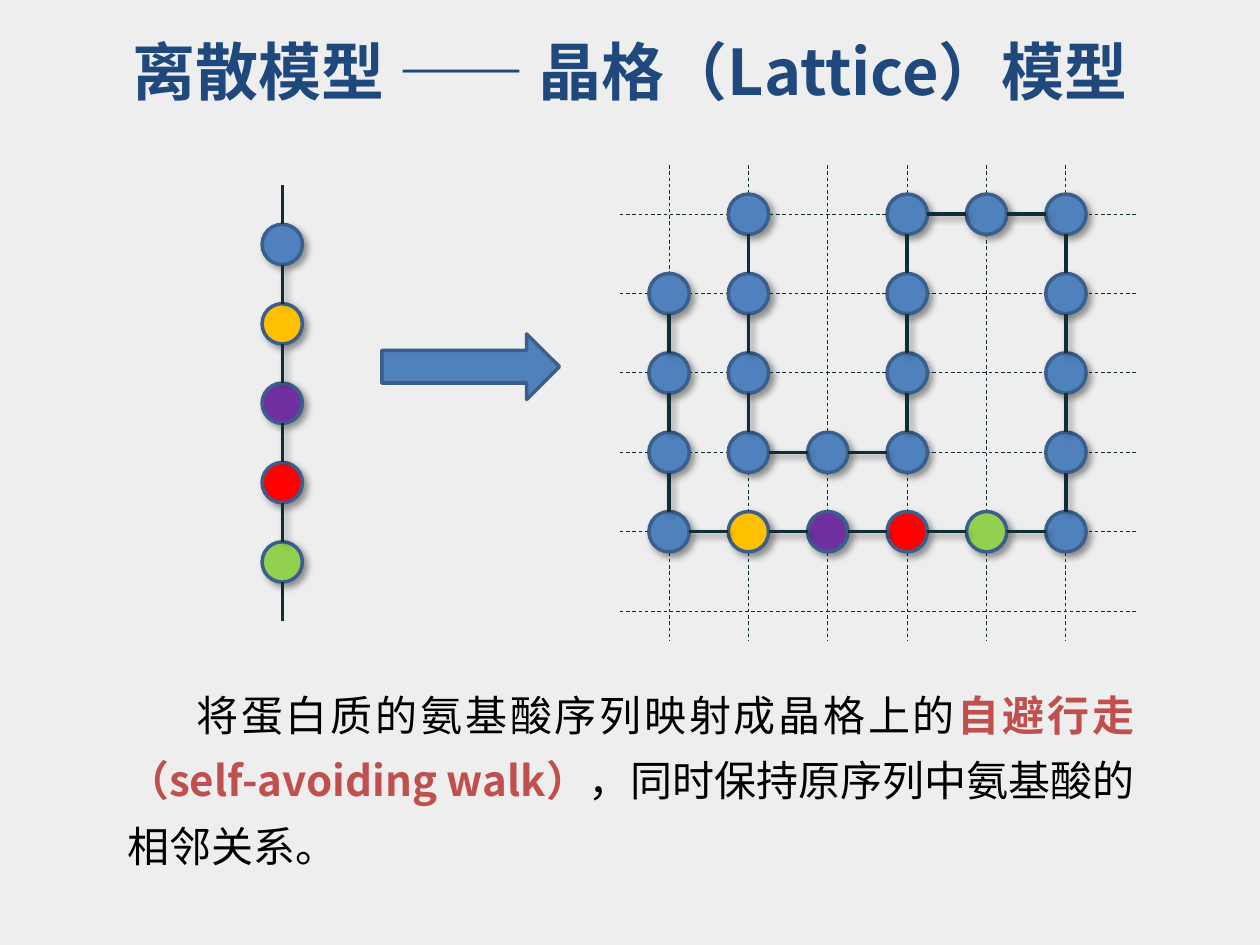
"""Build a slide mapping an amino acid chain onto a self-avoiding lattice walk."""
from lxml import etree
from pptx import Presentation
from pptx import util as u
from pptx.dml.color import RGBColor
from pptx.enum import dml, shapes, text
from pptx.oxml import ns

TITLE = "离散模型 —— 晶格（Lattice）模型"
BODY = [
    ("将蛋白质的氨基酸序列映射成晶格上的", "ink", False),
    ("自避行走（self-avoiding walk）", "accent", True),
    ("，同时保持原序列中氨基酸的相邻关系。", "ink", False),
]
CHAIN = ["blue", "yellow", "purple", "red", "green"]
WALK_CORNERS = [(0, 1), (0, 4), (5, 4), (5, 0), (3, 0), (3, 3), (1, 3), (1, 0)]
WALK_COLORS = {(1, 4): "yellow", (2, 4): "purple", (3, 4): "red", (4, 4): "green"}
THEME = {
    "font": "Noto Sans CJK SC", "title_size": 36, "body_size": 24,
    "background": "EEEEEE", "title": "1F497D", "ink": "000000", "accent": "C0504D",
    "blue": "4F81BD", "yellow": "FFC000", "purple": "7030A0", "red": "FF0000",
    "green": "92D050", "outline": "3A5F8C", "bond": "102C34",
}
STEP, RADIUS, GRID_COUNT = 0.63, 0.16, 6
GRID_LEFT, GRID_TOP = 5.31, 1.7
CHAIN_X, CHAIN_TOP = 2.24, 1.94


def color(name):
    return RGBColor.from_string(THEME[name])


def add_shadow(shape):
    properties = shape._element.spPr
    effects = properties.find(ns.qn("a:effectLst"))
    if effects is None:
        effects = etree.SubElement(properties, ns.qn("a:effectLst"))
    shadow = etree.SubElement(
        effects, ns.qn("a:outerShdw"), blurRad=str(u.Pt(4)), dist=str(u.Pt(3)),
        dir="2700000", algn="tl", rotWithShape="0")
    tone = etree.SubElement(shadow, ns.qn("a:srgbClr"), val=THEME["ink"])
    etree.SubElement(tone, ns.qn("a:alpha"), val="40000")


def add_line(slide, start, end, width, dashed=False, shadow=False):
    line = slide.shapes.add_connector(
        shapes.MSO_CONNECTOR.STRAIGHT, *(u.Inches(v) for v in (*start, *end)))
    line.line.color.rgb = color("bond")
    line.line.width = u.Pt(width)
    if dashed:
        line.line.dash_style = dml.MSO_LINE.DASH
    etree.SubElement(line._element.spPr, ns.qn("a:effectLst"))
    if shadow:
        add_shadow(line)


def add_filled(slide, kind, box, fill):
    shape = slide.shapes.add_shape(kind, *(u.Inches(v) for v in box))
    shape.shadow.inherit = False
    shape.fill.solid()
    shape.fill.fore_color.rgb = color(fill)
    shape.line.color.rgb = color("outline")
    shape.line.width = u.Pt(2)
    return shape


def add_residue(slide, x, y, fill):
    box = (x - RADIUS, y - RADIUS, 2 * RADIUS, 2 * RADIUS)
    add_shadow(add_filled(slide, shapes.MSO_SHAPE.OVAL, box, fill))


def add_paragraph_box(slide, box, runs, size, alignment):
    frame = slide.shapes.add_textbox(*(u.Inches(v) for v in box)).text_frame
    frame.word_wrap = True
    paragraph = frame.paragraphs[0]
    paragraph.alignment = alignment
    for words, tone, bold in runs:
        run = paragraph.add_run()
        run.text = words
        run.font.name = THEME["font"]
        run.font.size = u.Pt(size)
        run.font.bold = bold
        run.font.color.rgb = color(tone)
        etree.SubElement(run.font._element, ns.qn("a:ea"), typeface=THEME["font"])
    return frame


def add_chain(slide):
    for index, fill in enumerate(CHAIN):
        add_residue(slide, CHAIN_X, CHAIN_TOP + index * STEP, fill)
    for index in range(len(CHAIN) + 1):
        bottom = CHAIN_TOP + index * STEP - RADIUS
        top = bottom - STEP + 2 * RADIUS
        add_line(slide, (CHAIN_X, top), (CHAIN_X, bottom), 1.5,
                 shadow=0 < index < len(CHAIN))


def walk_nodes():
    nodes = [WALK_CORNERS[0]]
    for column, row in WALK_CORNERS[1:]:
        while nodes[-1] != (column, row):
            x, y = nodes[-1]
            nodes.append((x + (column > x) - (column < x), y + (row > y) - (row < y)))
    return nodes


def add_lattice(slide):
    for index in range(GRID_COUNT):
        y = GRID_TOP + index * STEP
        add_line(slide, (4.92, y), (9.02, y), 0.5, dashed=True)
    for index in range(GRID_COUNT):
        x = GRID_LEFT + index * STEP
        add_line(slide, (x, 1.31), (x, 5.09), 0.5, dashed=True)

    nodes = walk_nodes()
    for node in nodes:
        add_residue(slide, GRID_LEFT + node[0] * STEP, GRID_TOP + node[1] * STEP,
                    WALK_COLORS.get(node, "blue"))
    for pair in zip(nodes, nodes[1:]):
        (column, row), (next_column, next_row) = sorted(pair)
        across, down = next_column - column, next_row - row
        x, y = GRID_LEFT + column * STEP, GRID_TOP + row * STEP
        start = (x + across * RADIUS, y + down * RADIUS)
        length = STEP - 2 * RADIUS
        end = (start[0] + across * length, start[1] + down * length)
        add_line(slide, start, end, 2, shadow=bool(across or row))


def main():
    presentation = Presentation()
    presentation.slide_width, presentation.slide_height = u.Inches(10), u.Inches(7.5)
    slide = presentation.slides.add_slide(presentation.slide_layouts[6])
    slide.background.fill.solid()
    slide.background.fill.fore_color.rgb = color("background")

    title = add_paragraph_box(slide, (0, 0.21, 10, 0.87), [(TITLE, "title", True)],
                              THEME["title_size"], text.PP_ALIGN.CENTER)
    title.vertical_anchor = text.MSO_ANCHOR.TOP
    add_chain(slide)
    add_filled(slide, shapes.MSO_SHAPE.RIGHT_ARROW, (3.03, 2.65, 1.41, 0.52), "blue")
    add_lattice(slide)

    body = add_paragraph_box(slide, (0.91, 5.3, 8.19, 1.68), BODY,
                             THEME["body_size"], text.PP_ALIGN.JUSTIFY)
    body.auto_size = text.MSO_AUTO_SIZE.SHAPE_TO_FIT_TEXT
    paragraph = body.paragraphs[0]
    paragraph.line_spacing = 1.3
    paragraph._p.get_or_add_pPr().set("indent", str(u.Inches(0.55)))
    presentation.save("out.pptx")


if __name__ == "__main__":
    main()
